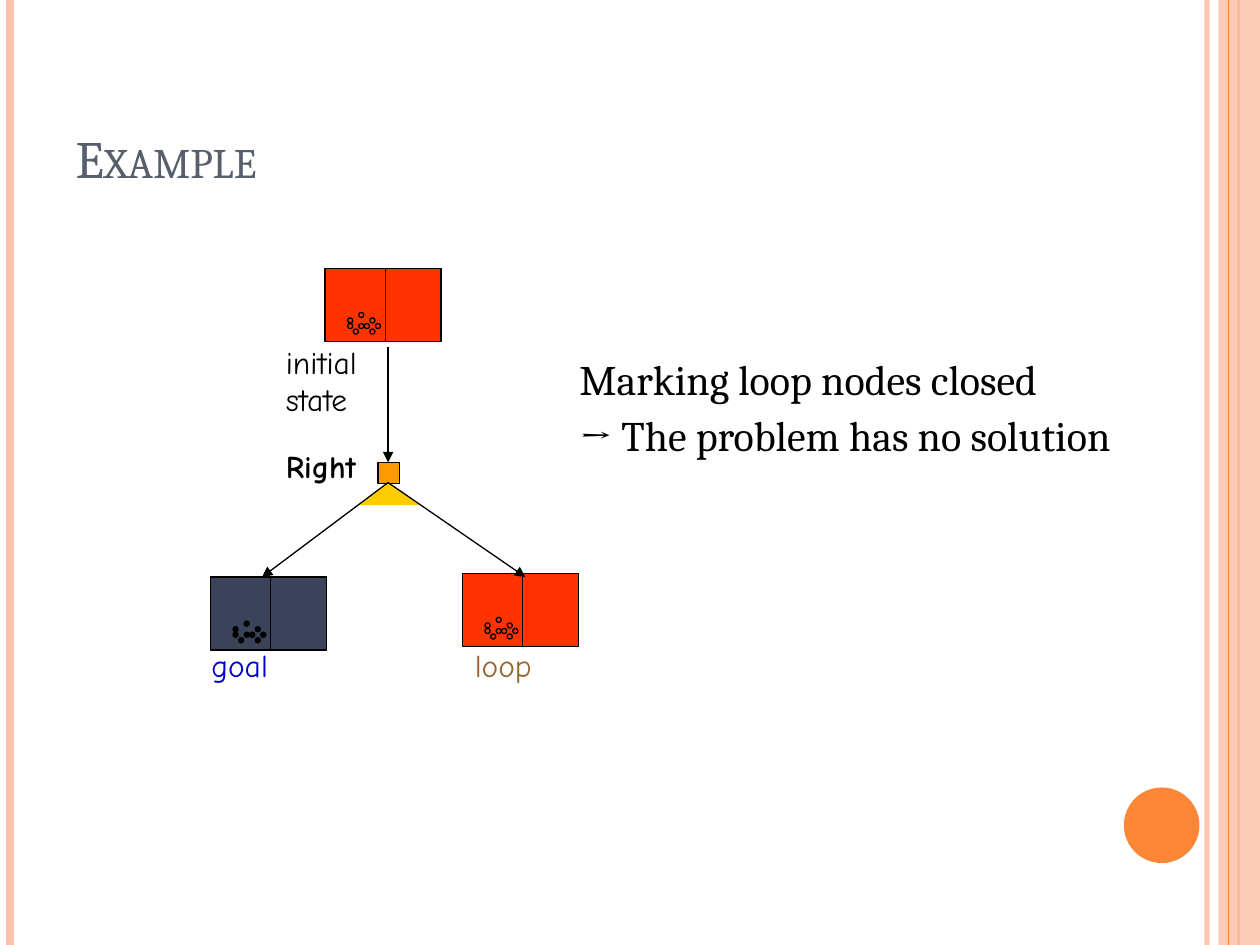
from lxml import etree
from pptx import Presentation
from pptx.dml.color import RGBColor
from pptx.enum.shapes import MSO_CONNECTOR, MSO_SHAPE
from pptx.enum.text import MSO_ANCHOR, MSO_AUTO_SIZE, PP_ALIGN
from pptx.oxml.ns import qn
from pptx.util import Inches, Pt

RECT, OVAL = MSO_SHAPE.RECTANGLE, MSO_SHAPE.OVAL
STRAIGHT = MSO_CONNECTOR.STRAIGHT
SERIF, HAND = "Cambria", "Comic Neue"
COLORS = {
    "peach": "FEC3AE", "orange": "FE8637", "title": "575F6D", "black": "000000",
    "open": "FF3300", "goal": "3B435B", "action": "FF9900", "fan": "FFCC00",
    "goal_label": "0000CC", "loop_label": "996633",
}
RGB = {name: RGBColor.from_string(value) for name, value in COLORS.items()}

prs = Presentation()
prs.slide_width, prs.slide_height = Inches(10), Inches(7.5)
slide = prs.slides.add_slide(prs.slide_layouts[5])
shapes = slide.shapes


def draw_shape(kind, left, top, width, height, fill, outlined=True):
    shape = shapes.add_shape(kind, Inches(left), Inches(top), Inches(width), Inches(height))
    shape.shadow.inherit = False
    if fill:
        shape.fill.solid()
        shape.fill.fore_color.rgb = RGB[fill]
    else:
        shape.fill.background()
    if outlined:
        shape.line.color.rgb = RGB["black"]
        shape.line.width = Pt(0.75)
    else:
        shape.line.fill.background()
    return shape


def draw_line(x1, y1, x2, y2, color, width):
    line = shapes.add_connector(STRAIGHT, Inches(x1), Inches(y1), Inches(x2), Inches(y2))
    line.line.color.rgb = RGB[color]
    line.line.width = Pt(width)
    etree.SubElement(line._element.spPr, qn("a:effectLst"))
    return line


# Side stripes and corner disc
inner_stripe = draw_line(9.58, 0, 9.58, 7.5, "peach", 3)
draw_line(0.08, 0, 0.08, 7.5, "peach", 4.5)
draw_line(9.83, 0, 9.83, 7.5, "orange", 1.5)
side_band = draw_shape(RECT, 9.67, 0, 0.33, 7.5, "peach", outlined=False)
draw_line(9.75, 0, 9.75, 7.5, "orange", 0.75)
draw_shape(OVAL, 8.92, 6.25, 0.6, 0.6, "orange", outlined=False)
for stripe, opacity in ((inner_stripe, 93), (side_band, 87)):
    color = stripe._element.spPr.find(".//" + qn("a:srgbClr"))
    etree.SubElement(color, qn("a:alpha"), val=str(opacity * 1000))

# Title
title = shapes.title
title.left, title.top = Inches(0.5), Inches(0.3)
title.width, title.height = Inches(8.17), Inches(1.25)
title.text_frame.text = "Example"
title.text_frame.vertical_anchor = MSO_ANCHOR.BOTTOM
heading = title.text_frame.paragraphs[0]
heading.alignment = PP_ALIGN.LEFT
heading_run = heading.runs[0]
heading_run.font.name, heading_run.font.size = SERIF, Pt(30)
heading_run.font.color.rgb = RGB["title"]
heading_run._r.get_or_add_rPr().set("cap", "small")

# Fan under the action square
builder = shapes.build_freeform(Inches(3.08), Inches(3.83), scale=1.0)
builder.add_line_segments([(Inches(2.84), Inches(4.01)), (Inches(3.33), Inches(4.01))])
fan = builder.convert_to_shape()
fan.shadow.inherit = False
fan.fill.solid()
fan.fill.fore_color.rgb = RGB["fan"]
fan.line.fill.background()

# State nodes: two rooms, with pebbles on a fine grid in the left one
PEBBLES = [(0, 1), (2, 2), (1, 3), (2, 0), (4, 1), (3, 2), (5, 2), (0, 2), (4, 3)]
PEBBLE_STEP = 0.044
NODES = [
    (2.58, 2.13, "open", None),
    (1.67, 4.58, "goal", "black"),
    (3.67, 4.55, "open", "open"),
]
for left, top, room_fill, pebble_fill in NODES:
    draw_shape(RECT, left, top, 0.52, 0.58, room_fill)
    draw_shape(RECT, left + 0.48, top, 0.44, 0.58, room_fill)
    for column, row in PEBBLES:
        draw_shape(OVAL, left + 0.18 + column * PEBBLE_STEP,
                   top + 0.35 + row * PEBBLE_STEP, 0.04, 0.04, pebble_fill)

# Action square and arrows
draw_shape(RECT, 3, 3.67, 0.17, 0.17, "action")
for start_y, end_x, end_y in ((2.75, 3.08, 3.67), (3.83, 2.08, 4.58), (3.83, 4.17, 4.58)):
    arrow = draw_line(3.08, start_y, end_x, end_y, "black", 0.75)
    etree.SubElement(arrow.line._get_or_add_ln(), qn("a:tailEnd"), type="triangle")

# Labels and conclusion
TEXTS = [
    ("Right", 2.17, 3.5, 0.82, 0.4, HAND, 18, "black", True, 1),
    ("loop", 3.67, 5.08, 0.67, 0.4, HAND, 18, "loop_label", False, 1),
    ("initial\vstate", 2.17, 2.67, 0.85, 0.7, HAND, 18, "black", False, 1),
    ("goal", 1.58, 5.08, 0.66, 0.4, HAND, 18, "goal_label", False, 1),
    ("Marking loop nodes closed\n→ The problem has no solution",
     4.5, 2.72, 5.03, 0.95, SERIF, 24, "black", False, 1.1),
]
for text, left, top, width, height, font, size, color, bold, spacing in TEXTS:
    label = shapes.add_textbox(Inches(left), Inches(top), Inches(width), Inches(height))
    frame = label.text_frame
    frame.word_wrap = False
    frame.auto_size = MSO_AUTO_SIZE.SHAPE_TO_FIT_TEXT
    frame.text = text
    for paragraph in frame.paragraphs:
        paragraph.line_spacing = spacing
        for run in paragraph.runs:
            run.font.name, run.font.size = font, Pt(size)
            run.font.bold = bold
            run.font.color.rgb = RGB[color]

prs.save("out.pptx")
